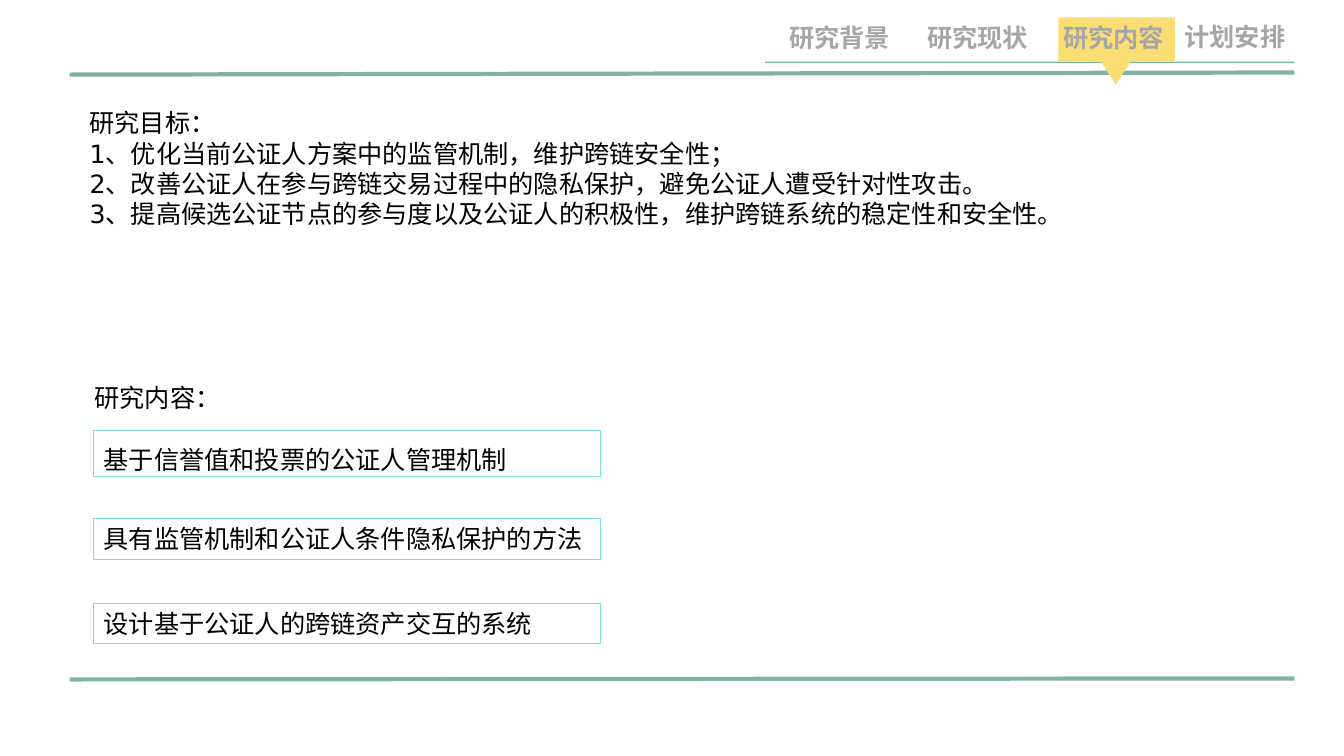
"""Build the research content slide with its navigation bar."""
from typing import NamedTuple

from lxml import etree
from pptx import Presentation
from pptx.dml.color import RGBColor
from pptx.enum.shapes import MSO_CONNECTOR, MSO_SHAPE
from pptx.enum.text import MSO_ANCHOR, MSO_AUTO_SIZE, PP_ALIGN
from pptx.oxml.ns import qn
from pptx.util import Pt

RECT = MSO_SHAPE.RECTANGLE
TRIANGLE = MSO_SHAPE.ISOSCELES_TRIANGLE
STRAIGHT = MSO_CONNECTOR.STRAIGHT
LEFT, RIGHT = PP_ALIGN.LEFT, PP_ALIGN.RIGHT
TOP = MSO_ANCHOR.TOP
GROW = MSO_AUTO_SIZE.SHAPE_TO_FIT_TEXT

CJK_FONT, BODY_FONT = "Noto Sans CJK SC", "DejaVu Sans"
GREEN, YELLOW, CYAN = "016946", "FADE73", "7DDDE9"
GREY, BLACK = "A6A6A6", "000000"


class Rule(NamedTuple):
    x1: float
    y1: float
    y2: float
    width: float


class Label(NamedTuple):
    x: float
    y: float
    w: float
    h: float
    lines: tuple[str, ...]
    font: str = BODY_FONT
    color: str = BLACK
    bold: bool = False
    align: PP_ALIGN = LEFT
    wrap: bool = True


class Topic(NamedTuple):
    y: float
    h: float
    text: str
    spacing: float = 1.0
    before: float = 0


RULE_END = 924.5
RULES = [Rule(49.7, 53.3, 51.8, 3), Rule(49.7, 485.3, 484.6, 3), Rule(546.5, 44.6, 44.6, 1)]
TABS = [
    Label(x, y, w, 29, (text,), CJK_FONT, GREY, True, align)
    for x, y, w, text, align in [
        (752.4, 12.2, 89.3, "研究内容", LEFT),
        (556.6, 12.2, 88.6, "研究背景", LEFT),
        (655.2, 12.2, 88.6, "研究现状", LEFT),
        (820.1, 11.5, 105.1, "计划安排", RIGHT),
    ]
]
GOALS = Label(56.9, 73.4, 795.6, 94.3, (
    "研究目标：",
    "1、优化当前公证人方案中的监管机制，维护跨链安全性；",
    "2、改善公证人在参与跨链交易过程中的隐私保护，避免公证人遭受针对性攻击。",
    "3、提高候选公证节点的参与度以及公证人的积极性，维护跨链系统的稳定性和安全性。",
))
HEADING = Label(60.5, 269.3, 105.1, 29, ("研究内容：",), wrap=False)
TOPICS = [
    Topic(307.2, 33, "基于信誉值和投票的公证人管理机制", 1.3, 6),
    Topic(370.5, 29, "具有监管机制和公证人条件隐私保护的方法"),
    Topic(430.8, 29, "设计基于公证人的跨链资产交互的系统"),
]


def rgb(value: str) -> RGBColor:
    return RGBColor.from_string(value)


def add_rule(slide, rule: Rule) -> None:
    line = slide.shapes.add_connector(
        STRAIGHT, Pt(rule.x1), Pt(rule.y1), Pt(RULE_END), Pt(rule.y2))
    line.line.width = Pt(rule.width)
    line.line.color.rgb = rgb(GREEN)
    color = line.line._get_or_add_ln().find(".//" + qn("a:srgbClr"))
    etree.SubElement(color, qn("a:alpha")).set("val", "50000")
    etree.SubElement(line._element.spPr, qn("a:effectLst"))


def add_marker(slide, kind: MSO_SHAPE, x: float, y: float, w: float, h: float,
               rotation: float = 0) -> None:
    sp = slide.shapes.add_shape(kind, Pt(x), Pt(y), Pt(w), Pt(h))
    sp.rotation = rotation
    sp.shadow.inherit = False
    sp.fill.solid()
    sp.fill.fore_color.rgb = rgb(YELLOW)
    sp.line.fill.background()


def add_run(p, text: str, font: str, color: str, bold: bool = False) -> None:
    r = p.add_run()
    r.text = text
    r.font.name = font
    r.font.size = Pt(18)
    r.font.bold = bold
    r.font.color.rgb = rgb(color)
    etree.SubElement(r.font._element, qn("a:ea")).set("typeface", CJK_FONT)


def add_label(slide, label: Label) -> None:
    sp = slide.shapes.add_textbox(Pt(label.x), Pt(label.y), Pt(label.w), Pt(label.h))
    tf = sp.text_frame
    tf.word_wrap = label.wrap
    tf.auto_size = GROW
    for i, line in enumerate(label.lines):
        p = tf.add_paragraph() if i else tf.paragraphs[0]
        p.alignment = label.align
        add_run(p, line, label.font, label.color, label.bold)


def add_topic(slide, topic: Topic) -> None:
    sp = slide.shapes.add_shape(RECT, Pt(67), Pt(topic.y), Pt(362.2), Pt(topic.h))
    sp.shadow.inherit = False
    sp.fill.background()
    sp.line.color.rgb = rgb(CYAN)
    sp.line.width = Pt(0.75)
    tf = sp.text_frame
    tf.word_wrap = True
    tf.auto_size = GROW
    tf.vertical_anchor = TOP
    p = tf.paragraphs[0]
    p.alignment = LEFT
    p.line_spacing = topic.spacing
    p.space_before = Pt(topic.before)
    add_run(p, topic.text, BODY_FONT, BLACK)


def main() -> None:
    prs = Presentation()
    prs.slide_width, prs.slide_height = Pt(960), Pt(540)
    slide = prs.slides.add_slide(prs.slide_layouts[6])
    for rule in RULES:
        add_rule(slide, rule)
    add_marker(slide, RECT, 756, 12.4, 83.2, 31.8)
    add_marker(slide, TRIANGLE, 785.8, 43.2, 22.3, 17.2, 180)
    for label in [*TABS, GOALS, HEADING]:
        add_label(slide, label)
    for topic in TOPICS:
        add_topic(slide, topic)
    prs.save("out.pptx")


if __name__ == "__main__":
    main()
